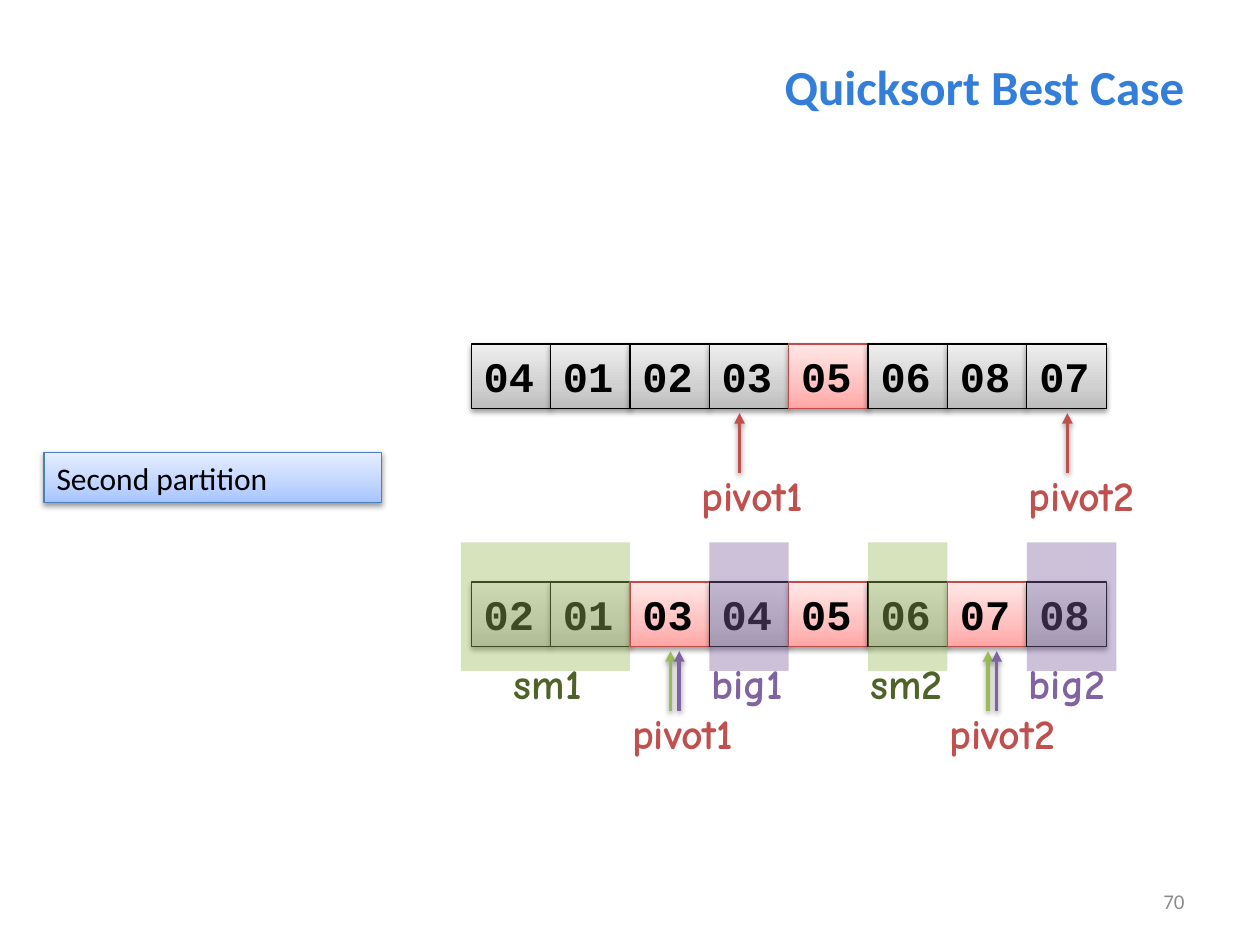
from lxml import etree
from pptx import Presentation
from pptx.dml.color import RGBColor
from pptx.enum.shapes import MSO_CONNECTOR, MSO_SHAPE
from pptx.enum.text import MSO_ANCHOR, PP_ALIGN
from pptx.oxml import parse_xml
from pptx.oxml.ns import qn
from pptx.util import Inches, Pt

RECT, STRAIGHT = MSO_SHAPE.RECTANGLE, MSO_CONNECTOR.STRAIGHT
TOP, MIDDLE = MSO_ANCHOR.TOP, MSO_ANCHOR.MIDDLE
LEFT, RIGHT = PP_ALIGN.LEFT, PP_ALIGN.RIGHT
NS = 'xmlns:a="http://schemas.openxmlformats.org/drawingml/2006/main"'

COLORS = {
    "title": "337ED9", "number": "8C8C8C", "black": "000000",
    "pivot": "C0504D", "small": "9BBB59", "small_text": "4F6228", "big": "8064A2",
}
# Bottom, 35 % and top colour of each gradient, then the outline
BOXES = {
    "gray": ("BDBDBD", "D1D1D1", "EEEEEE", "000000"),
    "red": ("FFA6A5", "FFC0BF", "FFE7E7", "BF4C48"),
    "blue": ("A4C4FF", "BFD4FF", "E6EEFF", "4B7EBC"),
}
SHADOW = (f'<a:effectLst {NS}><a:outerShdw blurRad="40000" dist="20000" dir="5400000" '
          'rotWithShape="0"><a:srgbClr val="000000"><a:alpha val="38000"/></a:srgbClr>'
          '</a:outerShdw></a:effectLst>')

# Square grid shared by both arrays
X0, Y0, UNIT = 3.74, 2.73, 0.63
CELL_H = 0.51


def write(s, text, font, size, color, bold=False, align=LEFT, anchor=TOP):
    tf = s.text_frame
    tf.vertical_anchor = anchor
    p = tf.paragraphs[0]
    p.alignment = align
    r = p.add_run()
    r.text = text
    r.font.name, r.font.size, r.font.bold = font, Pt(size), bold
    r.font.color.rgb = RGBColor.from_string(COLORS[color])


def add_box(x, y, w, h, style):
    s = slide.shapes.add_shape(RECT, Inches(x), Inches(y), Inches(w), Inches(h))
    *stops, outline = BOXES[style]
    s.fill.gradient()
    s.fill.gradient_angle = 90
    gs_list = s._element.spPr.find(qn("a:gradFill")).find(qn("a:gsLst"))
    gs_list.clear()
    for pos, color in zip((0, 35000, 100000), stops):
        gs_list.append(parse_xml(f'<a:gs {NS} pos="{pos}"><a:srgbClr val="{color}"/></a:gs>'))
    s.line.color.rgb = RGBColor.from_string(outline)
    s.line.width = Pt(0.75)
    s._element.spPr.append(parse_xml(SHADOW))
    return s


prs = Presentation()
prs.slide_width, prs.slide_height = Inches(10), Inches(7.5)
slide = prs.slides.add_slide(prs.slide_layouts[5])

# Title
title = slide.shapes.title
title.left, title.top, title.width, title.height = map(Inches, (1.61, 0.38, 7.89, 0.61))
write(title, "Quicksort Best Case", "Calibri", 28, "title", True, RIGHT, MIDDLE)

# Slide number
number = slide.shapes.add_textbox(*map(Inches, (7.17, 6.95, 2.33, 0.4)))
number.text_frame.word_wrap = True
write(number, "70", "Calibri", 12, "number", align=RIGHT, anchor=MIDDLE)

# Step name
step = add_box(0.35, 3.59, 2.68, 0.4, "blue")
write(step, "Second partition", "Calibri", 18, "black")

# Labels: text, column, row, width, colour
for text, col, row, w, color in (
    ("pivot1", 2.75, 1.5, 1.03, "pivot"), ("pivot2", 6.87, 1.5, 1.05, "pivot"),
    ("sm1", 0.38, 3.87, 0.8, "small_text"), ("big1", 2.87, 3.87, 0.81, "big"),
    ("sm2", 4.87, 3.87, 0.82, "small_text"), ("big2", 6.87, 3.87, 0.84, "big"),
    ("pivot1", 1.87, 4.5, 1.03, "pivot"), ("pivot2", 5.87, 4.5, 1.05, "pivot"),
):
    s = slide.shapes.add_textbox(Inches(X0 + col * UNIT), Inches(Y0 + row * UNIT),
                                 Inches(w), Inches(0.5))
    s.text_frame.word_wrap = False
    write(s, text, "Comic Neue", 24, color, True)

# Arrays before and after the partition, with pivots in red
for row, values, pivots in (
    (0, "04 01 02 03 05 06 08 07", {"05"}),
    (3, "02 01 03 04 05 06 07 08", {"03", "05", "07"}),
):
    for col, value in enumerate(values.split()):
        s = add_box(X0 + col * UNIT, Y0 + row * UNIT, UNIT, CELL_H,
                    "red" if value in pivots else "gray")
        write(s, value, "Courier New", 24, "black", True)

# Translucent bands over the parts: column, columns wide, colour
for col, span, color in (
    (-0.13, 2.13, "small"), (3, 1, "big"), (5, 1, "small"), (7, 1.13, "big"),
):
    s = slide.shapes.add_shape(RECT, Inches(X0 + col * UNIT), Inches(Y0 + 2.5 * UNIT),
                               Inches(span * UNIT), Inches(2 * CELL_H))
    s.shadow.inherit = False
    s.fill.solid()
    s.fill.fore_color.rgb = RGBColor.from_string(COLORS[color])
    rgb = s._element.spPr.find(qn("a:solidFill"))[0]
    etree.SubElement(rgb, qn("a:alpha")).set("val", "40000")
    s.line.fill.background()

# Arrows up to the cells: column, array row, colour
for col, row, color in (
    (3.38, 0, "pivot"), (7.51, 0, "pivot"),
    (2.51, 3, "small"), (2.62, 3, "big"), (6.51, 3, "small"), (6.62, 3, "big"),
):
    x, y = Inches(X0 + col * UNIT), Y0 + row * UNIT
    s = slide.shapes.add_connector(STRAIGHT, x, Inches(y + 1.62 * UNIT),
                                   x, Inches(y + 0.87 * UNIT))
    s.line.color.rgb = RGBColor.from_string(COLORS[color])
    s.line.width = Pt(2)
    etree.SubElement(s.line._get_or_add_ln(), qn("a:tailEnd")).set("type", "triangle")
    s._element.spPr.append(parse_xml(SHADOW))

prs.save("out.pptx")
